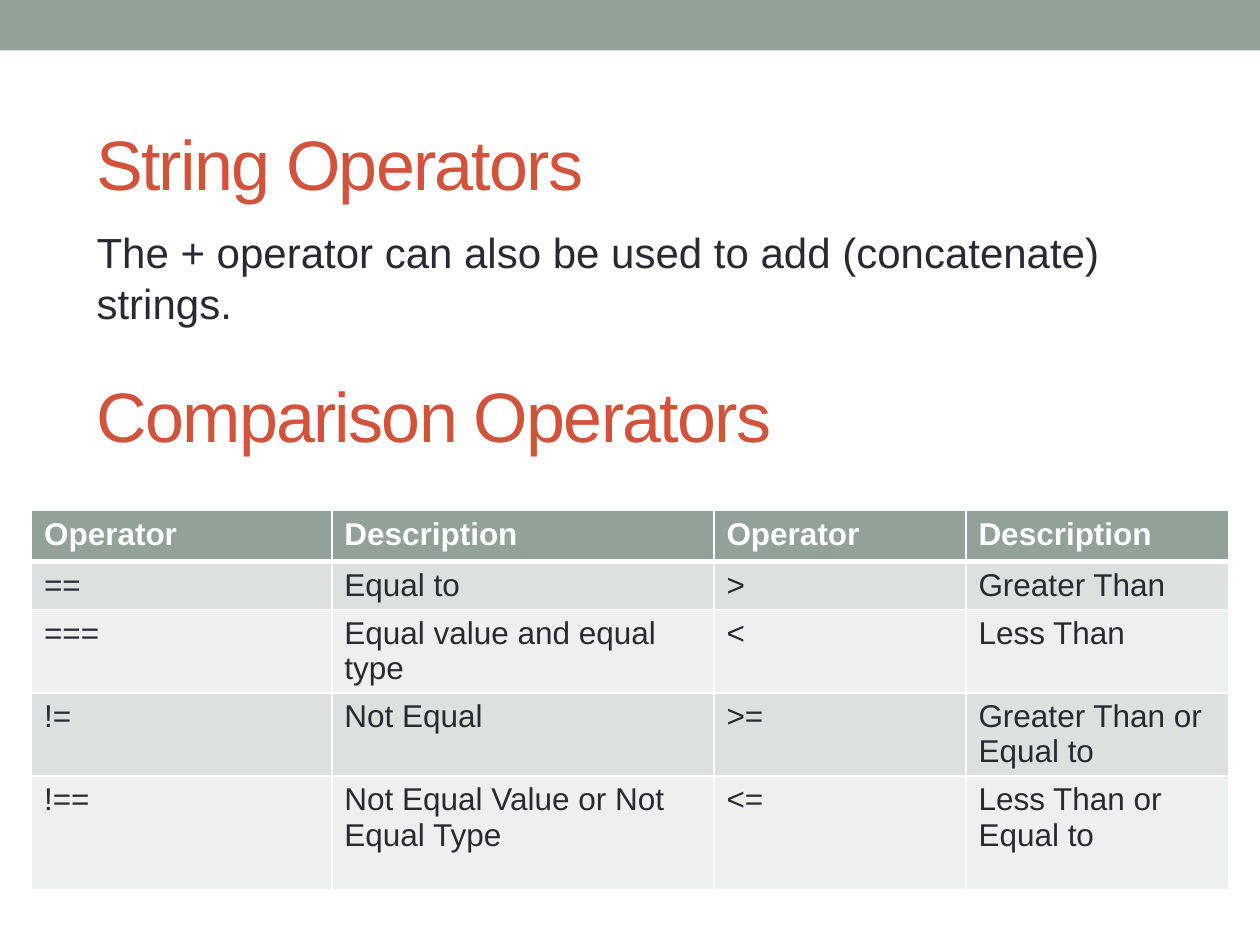
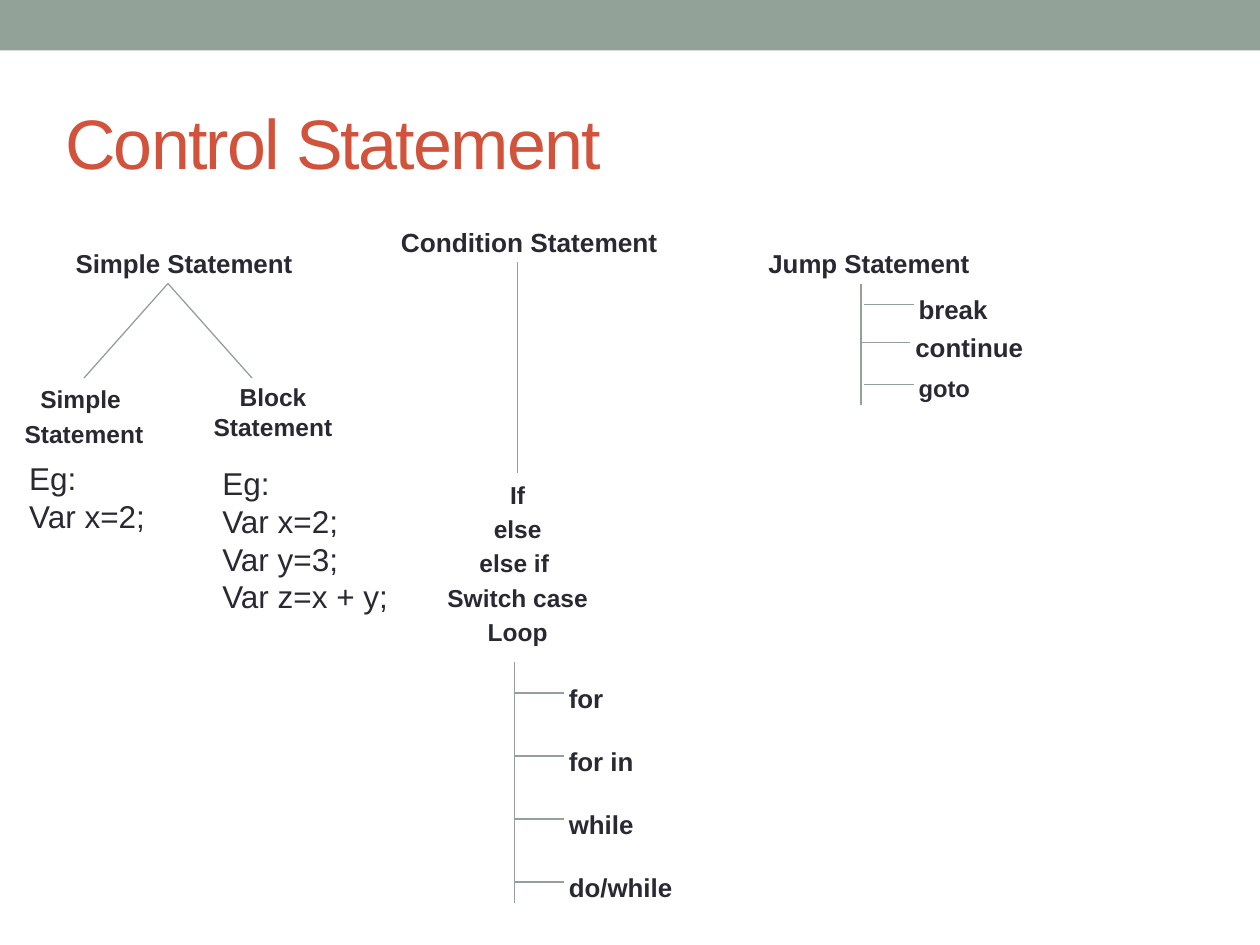
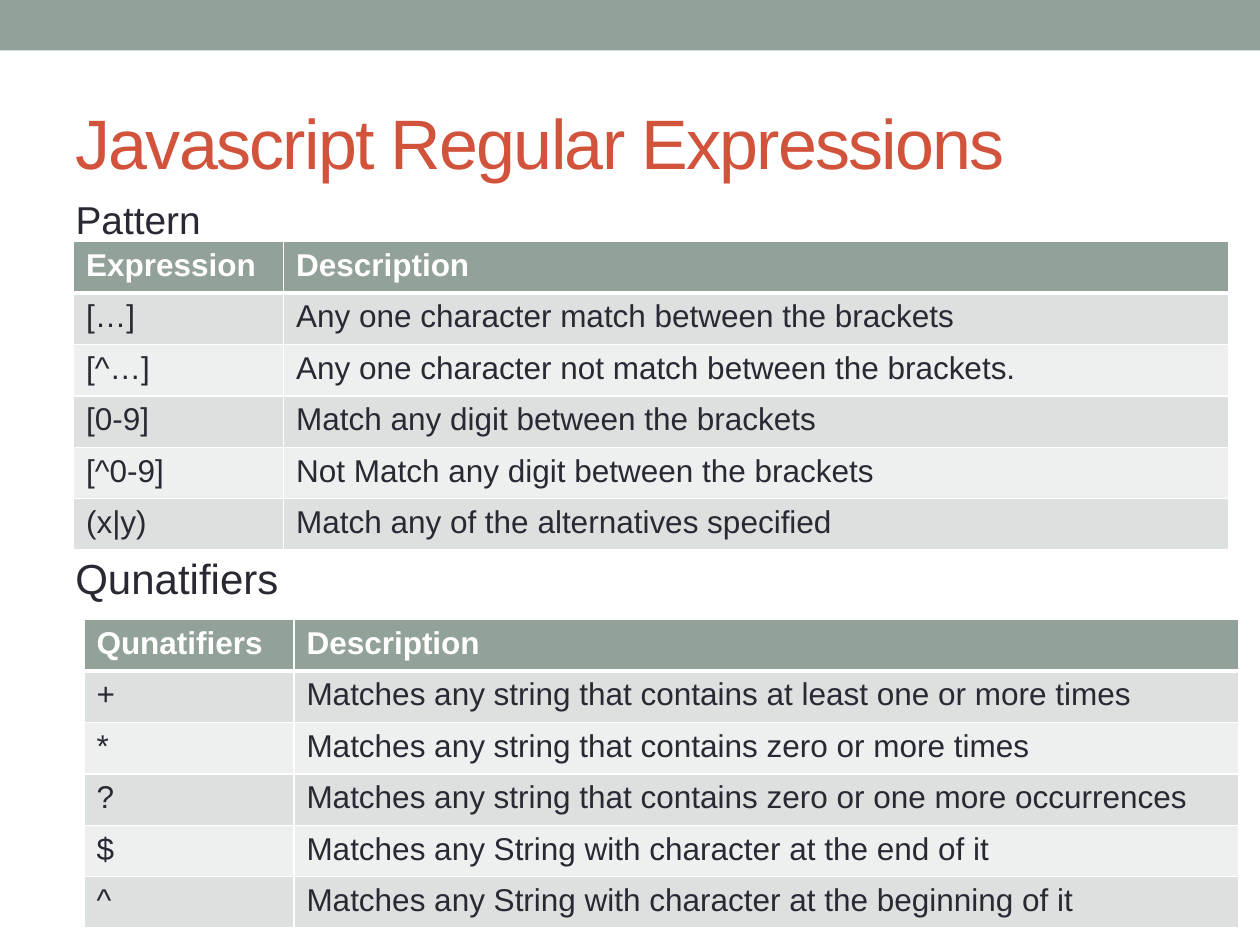
from dataclasses import dataclass
from typing import NamedTuple

from lxml import etree
from pptx import Presentation
from pptx import util as u
from pptx.dml.color import RGBColor
from pptx.enum import shapes, text
from pptx.oxml import ns

PX = u.Inches(1) // 120
FONT = "Arial"
COLORS = {
    "sage": "93A299",
    "rust": "D2533C",
    "ink": "292934",
    "white": "FFFFFF",
    "stripe_dark": "DCE0DE",
    "stripe_light": "EEF0EF",
}


class Box(NamedTuple):
    left: int
    top: int
    width: int
    height: int


class Line(NamedTuple):
    x1: int
    y1: int
    x2: int
    y2: int


@dataclass
class Label:
    box: Box
    lines: list[str]
    size: float = 14.8
    bold: bool = True
    centered: bool = False
    color: str = "ink"
    gap: float = 0.2  # space between paragraphs, as a share of the size
    tracking: int = 0  # hundredths of a point
    middle: bool = False


@dataclass
class Grid:
    left: int
    top: int
    columns: list[int]
    heights: list[int]
    rows: list[list[str]]


def rgb(name: str) -> RGBColor:
    return RGBColor.from_string(COLORS[name])


def emu(lengths) -> list[int]:
    return [length * PX for length in lengths]


def heading(box: Box, wording: str) -> Label:
    return Label(box, [wording], 40, False, color="rust", tracking=-100, middle=True)


# Text
def write(shape, label: Label) -> None:
    shape.left, shape.top, shape.width, shape.height = emu(label.box)
    frame = shape.text_frame
    frame.word_wrap = True
    frame.auto_size = text.MSO_AUTO_SIZE.NONE
    frame.vertical_anchor = text.MSO_ANCHOR.MIDDLE if label.middle else text.MSO_ANCHOR.TOP
    frame.text = "\n".join(label.lines)
    for index, paragraph in enumerate(frame.paragraphs):
        paragraph.alignment = text.PP_ALIGN.CENTER if label.centered else text.PP_ALIGN.LEFT
        paragraph.space_before = u.Pt(label.size * label.gap if index else 0)
        properties = paragraph._p.get_or_add_pPr()
        properties.set("marL", "0")
        properties.set("indent", "0")
        etree.SubElement(properties, ns.qn("a:buNone"))
        set_font(paragraph, label.size, label.bold, label.color)
        if label.tracking:
            properties.find(ns.qn("a:defRPr")).set("spc", str(label.tracking))
            for run in paragraph.runs:
                run._r.get_or_add_rPr().set("spc", str(label.tracking))


def set_font(paragraph, size: float, bold: bool, color: str) -> None:
    font = paragraph.font
    font.name, font.size, font.bold = FONT, u.Pt(size), bold
    font.color.rgb = rgb(color)


def add_label(slide, label: Label) -> None:
    write(slide.shapes.add_textbox(*emu(label.box)), label)


# Lines
def add_line(slide, line: Line) -> None:
    connector = slide.shapes.add_connector(shapes.MSO_CONNECTOR.STRAIGHT, *emu(line))
    connector.line.color.rgb = rgb("sage")
    connector.line.width = u.Pt(0.75)
    etree.SubElement(connector.element.spPr, ns.qn("a:effectLst"))


# Tables
def set_borders(cell, bottom: int) -> None:
    properties = cell._tc.get_or_add_tcPr()
    for side, points in (("L", 1), ("R", 1), ("T", 1), ("B", bottom)):
        edge = etree.SubElement(properties, ns.qn(f"a:ln{side}"), w=str(u.Pt(points)))
        fill = etree.SubElement(edge, ns.qn("a:solidFill"))
        etree.SubElement(fill, ns.qn("a:srgbClr"), val=COLORS["white"])


def add_grid(slide, grid: Grid) -> None:
    size = emu((grid.left, grid.top, sum(grid.columns), sum(grid.heights)))
    table = slide.shapes.add_table(len(grid.rows), len(grid.columns), *size).table
    for column, width in zip(table.columns, grid.columns):
        column.width = width * PX
    for r, (row, height, words) in enumerate(zip(table.rows, grid.heights, grid.rows)):
        row.height = height * PX
        header = r == 0
        stripe = "sage" if header else "stripe_dark" if r % 2 else "stripe_light"
        for cell, wording in zip(row.cells, words):
            cell.text = wording
            set_borders(cell, 3 if header else 1)
            cell.fill.solid()
            cell.fill.fore_color.rgb = rgb(stripe)
            set_font(cell.text_frame.paragraphs[0], 18, header, "white" if header else "ink")


# Slides
def add_slide(deck, title: Label, body: Label):
    slide = deck.slides.add_slide(deck.slide_layouts[1])
    write(slide.shapes.title, title)
    write(slide.placeholders[1], body)
    return slide


def move_band_to_layout(slide) -> None:
    band = slide.shapes.add_shape(shapes.MSO_SHAPE.RECTANGLE, *emu((0, 0, 1200, 48)))
    band.shadow.inherit = False
    band.fill.solid()
    band.fill.fore_color.rgb = rgb("sage")
    band.line.fill.background()
    slide.slide_layout.shapes.element.insert(2, band.element)


def operators(deck):
    slide = add_slide(
        deck,
        heading(Box(80, 330, 1080, 130), "Comparison Operators"),
        Label(Box(80, 210, 1080, 120),
              ["The + operator can also be used to add (concatenate) strings."], 24, False),
    )
    add_label(slide, heading(Box(80, 96, 1080, 118), "String Operators"))
    add_grid(slide, Grid(30, 486, [286, 364, 240, 250], [49, 44, 43, 76, 108], [
        ["Operator", "Description"] * 2,
        ["==", "Equal to", ">", "Greater Than"],
        ["===", "Equal value and equal type", "<", "Less Than"],
        ["!=", "Not Equal", ">=", "Greater Than or Equal to"],
        ["!==", "Not Equal Value or Not Equal Type", "<=", "Less Than or Equal to"],
    ]))
    return slide


def control_statements(deck) -> None:
    slide = add_slide(
        deck,
        heading(Box(50, 70, 1080, 130), "Control Statement"),
        Label(Box(60, 230, 270, 40), ["Simple Statement"]),
    )
    conditions = ["If", "else", "else if ", "Switch case", "Loop"]
    block = ["Eg:", "Var x=2;", "Var y=3;", "Var z=x + y;"]
    for label in (
        Label(Box(370, 210, 290, 40), ["Condition Statement"], 15),
        Label(Box(720, 230, 270, 40), ["Jump Statement"]),
        Label(Box(0, 360, 160, 80), ["Simple ", "Statement"], 14, centered=True),
        Label(Box(180, 358, 160, 73), ["Block Statement"], 14, centered=True),
        Label(Box(413, 451, 160, 139), conditions, 14, centered=True),
        Label(Box(16, 431, 140, 85), block[:2], 18, False, gap=0),
        Label(Box(200, 436, 214, 157), block, 18, False, gap=0),
    ):
        add_label(slide, label)

    # Trunks of the three trees
    for line in (
        Line(160, 270, 80, 360),
        Line(160, 270, 240, 360),
        Line(493, 250, 493, 450),
        Line(490, 630, 490, 860),
        Line(820, 270, 820, 386),
    ):
        add_line(slide, line)

    # Branches: start, height, wording, text size
    loops = ["for", "for in", "while", "do/while"]
    branches = [(490, 660 + 60 * i, loop, 14.8) for i, loop in enumerate(loops)]
    branches += [
        (823, 290, "break", 14.8),
        (820, 326, "continue", 14.8),
        (823, 366, "goto", 13.6),
    ]
    for x, y, wording, size in branches:
        add_line(slide, Line(x, y, x + 47, y))
        add_label(slide, Label(Box(x + 40, y - 16, 270, 36), [wording], size))


def regular_expressions(deck) -> None:
    slide = add_slide(
        deck,
        heading(Box(60, 70, 1080, 130), "Javascript Regular Expressions"),
        Label(Box(60, 180, 1080, 50), ["Pattern"], 22.2, False),
    )
    add_label(slide, Label(Box(60, 520, 1080, 60), ["Qunatifiers"], 24, False))
    patterns = [
        ["Expression", "Description"],
        ["[…]", "Any one character match between the brackets"],
        ["[^…]", "Any one character not match between the brackets."],
        ["[0-9]", "Match any digit between the brackets"],
        ["[^0-9]", "Not Match any digit between the brackets"],
        ["(x|y)", "Match any of the alternatives specified"],
    ]
    quantifiers = [
        ["Qunatifiers", "Description"],
        ["+", "Matches any string that contains at least one or more times"],
        ["*", "Matches any string that contains zero or more times"],
        ["?", "Matches any string that contains zero or one more occurrences"],
        ["$", "Matches any String with character at the end of it"],
        ["^", "Matches any String with character at the beginning of it"],
    ]
    for left, top, rows in ((70, 230, patterns), (80, 590, quantifiers)):
        add_grid(slide, Grid(left, top, [200, 900], [49] * len(rows), rows))


def main() -> None:
    deck = Presentation()
    deck.slide_width, deck.slide_height = emu((1200, 900))
    move_band_to_layout(operators(deck))
    control_statements(deck)
    regular_expressions(deck)
    deck.save("out.pptx")


if __name__ == "__main__":
    main()
